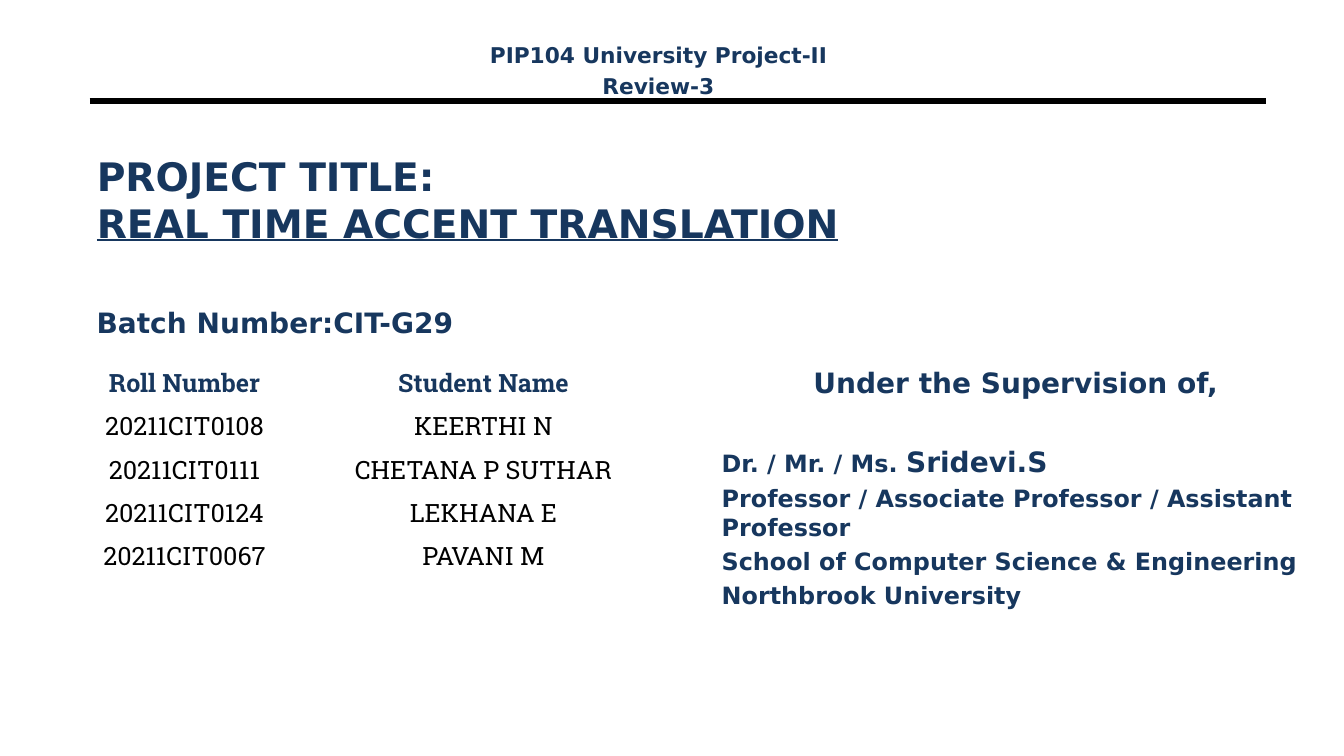
from dataclasses import dataclass

from lxml import etree
from pptx import Presentation
from pptx.dml.color import RGBColor
from pptx.enum.shapes import MSO_CONNECTOR
from pptx.enum.text import MSO_ANCHOR, MSO_AUTO_SIZE, PP_ALIGN
from pptx.oxml.ns import qn
from pptx.util import Inches, Pt

NAVY = RGBColor(0x17, 0x37, 0x5E)
BLACK = RGBColor(0, 0, 0)
SANS = "DejaVu Sans"
SLAB = "Roboto Slab"
SPACING = 0.23  # space before a paragraph, as a share of its font size


@dataclass(frozen=True)
class Line:
    text: str
    size: float
    align: PP_ALIGN = PP_ALIGN.LEFT
    underline: bool = False
    before: float | None = None
    tail: str = ""
    tail_size: float = 20


@dataclass(frozen=True)
class TextBlock:
    left: float
    top: float
    width: float
    height: float
    lines: tuple[Line, ...]


TITLE = TextBlock(0.86, 1.17, 11.33, 1.61, (
    Line("PROJECT TITLE:", 28, before=0),
    Line("REAL TIME ACCENT TRANSLATION", 28, underline=True, before=0),
))
BLOCKS = (
    TextBlock(0.86, 2.98, 4.34, 0.6, (Line("Batch Number:CIT-G29", 20),)),
    TextBlock(7.06, 3.58, 6.03, 2.66, (
        Line("Under the Supervision of,", 20, PP_ALIGN.CENTER),
        Line("Dr. / Mr. / Ms. ", 17, before=32.5, tail="Sridevi.S"),
        Line("Professor / Associate Professor / Assistant Professor", 17),
        Line("School of Computer Science & Engineering", 17),
        Line("Northbrook University", 17),
    )),
    TextBlock(4.36, 0.37, 4.34, 0.6, (
        Line("PIP104 University Project-II", 15.5, PP_ALIGN.CENTER),
        Line("Review-3", 15.5, PP_ALIGN.CENTER),
    )),
)
STUDENTS = (
    ("Roll Number", "Student Name"),
    ("20211CIT0108", "KEERTHI N"),
    ("20211CIT0111", "CHETANA P SUTHAR"),
    ("20211CIT0124", "LEKHANA E"),
    ("20211CIT0067", "PAVANI M"),
    ("", ""),
)
COLUMN_WIDTHS = (2.28, 3.65)
ROW_HEIGHT = 0.41


def style_run(r, size: float, font: str, color: RGBColor, bold: bool) -> None:
    r.font.size = Pt(size)
    r.font.name = font
    r.font.color.rgb = color
    r.font.bold = bold


def write_block(sp, block: TextBlock) -> None:
    """Place a text shape and fill it with the block's lines."""
    sp.left, sp.top = Inches(block.left), Inches(block.top)
    sp.width, sp.height = Inches(block.width), Inches(block.height)
    tf = sp.text_frame
    tf.word_wrap = True
    tf.auto_size = MSO_AUTO_SIZE.NONE
    tf.text = "\n".join(line.text for line in block.lines)
    for i, (p, line) in enumerate(zip(tf.paragraphs, block.lines)):
        p.alignment = line.align
        before = SPACING * line.size if line.before is None else line.before
        p.space_before = Pt(before if i else 0)
        r = p.runs[0]
        style_run(r, line.size, SANS, NAVY, True)
        if line.underline:
            r.font.underline = True
        if line.tail:
            r = p.add_run()
            r.text = line.tail
            style_run(r, line.tail_size, SANS, NAVY, True)


def add_header_rule(s) -> None:
    rule = s.shapes.add_connector(
        MSO_CONNECTOR.STRAIGHT, Inches(0.89), Inches(1), Inches(12.56), Inches(1))
    rule.line.color.rgb = BLACK
    rule.line.width = Pt(4.5)
    etree.SubElement(rule._element.spPr, qn("a:effectLst"))


def add_student_table(s) -> None:
    table = s.shapes.add_table(
        len(STUDENTS), len(COLUMN_WIDTHS), Inches(0.69), Inches(3.58),
        Inches(sum(COLUMN_WIDTHS)), Inches(ROW_HEIGHT * len(STUDENTS))).table
    table.horz_banding = False
    table.first_row = False
    for column, width in zip(table.columns, COLUMN_WIDTHS):
        column.width = Inches(width)
    for i, (row, values) in enumerate(zip(table.rows, STUDENTS)):
        row.height = Inches(ROW_HEIGHT)
        for cell, value in zip(row.cells, values):
            cell.fill.background()
            cell.vertical_anchor = MSO_ANCHOR.MIDDLE
            if not value:
                continue
            p = cell.text_frame.paragraphs[0]
            p.text = value
            p.alignment = PP_ALIGN.CENTER
            style_run(p.runs[0], 18, SLAB, BLACK if i else NAVY, i == 0)


def main() -> None:
    prs = Presentation()
    prs.slide_width, prs.slide_height = Inches(13.33), Inches(7.5)
    s = prs.slides.add_slide(prs.slide_layouts[5])
    add_header_rule(s)
    title = s.shapes.title
    write_block(title, TITLE)
    title.text_frame.vertical_anchor = MSO_ANCHOR.MIDDLE
    add_student_table(s)
    for block in BLOCKS:
        write_block(s.shapes.add_textbox(0, 0, 0, 0), block)
    prs.save("out.pptx")


if __name__ == "__main__":
    main()
